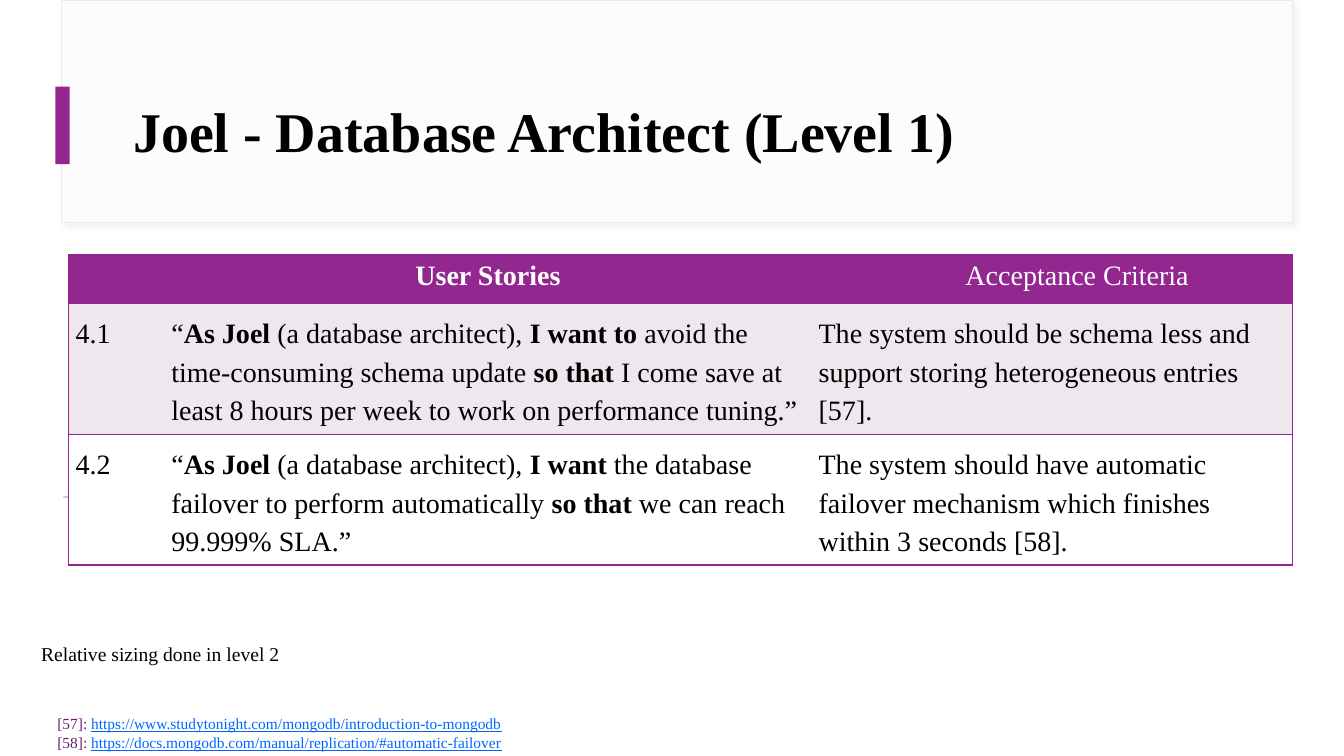
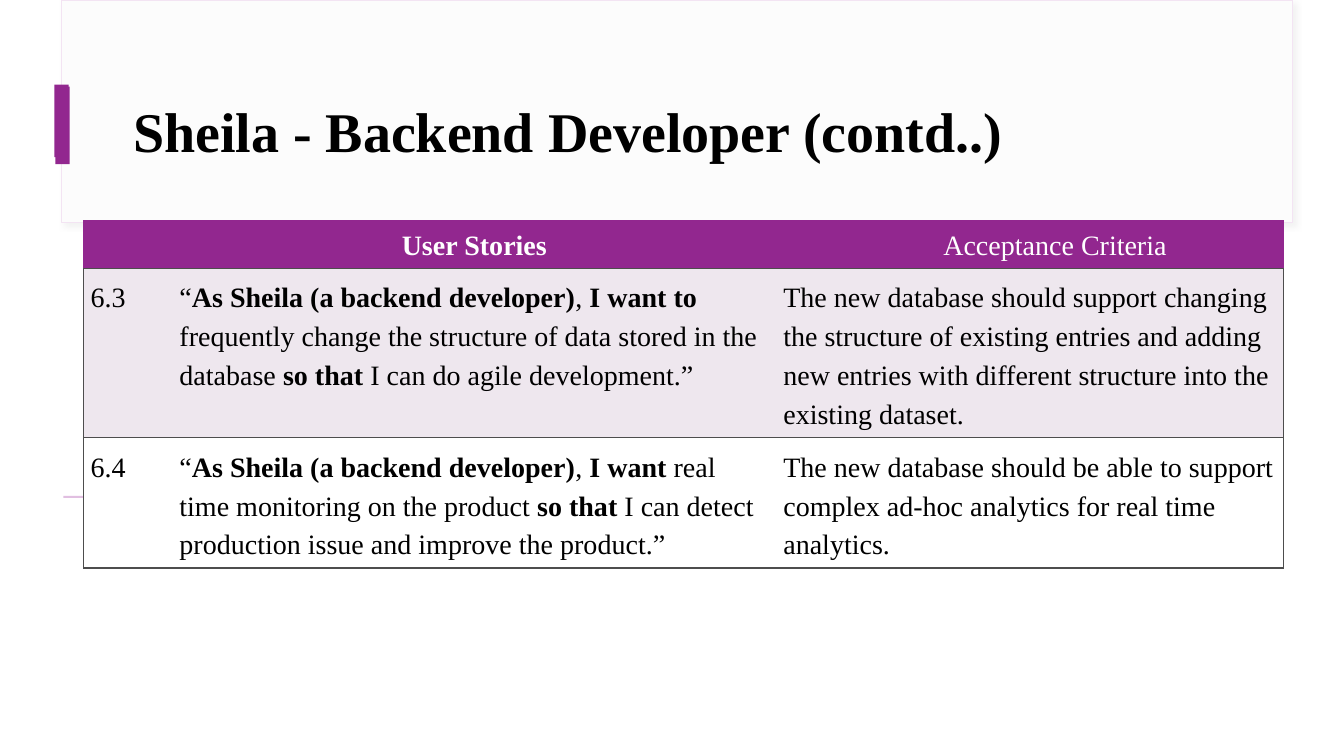
from lxml import etree
from pptx import Presentation
from pptx.dml.color import RGBColor
from pptx.enum.shapes import MSO_SHAPE as Shape
from pptx.enum.text import MSO_ANCHOR as Anchor, MSO_AUTO_SIZE as AutoSize, PP_ALIGN as Align
from pptx.oxml import parse_xml
from pptx.oxml.ns import nsdecls, qn
from pptx.util import Pt

PX = 9144  # 100 px to the inch
FONT = "Times New Roman"
NO_GRID = "{2D5ABB26-0587-4C30-8999-92F81FD0307C}"
COLORS = {
    "purple": "92278F", "pale": "EEE7EE", "white": "FFFFFF", "black": "000000",
    "band": "FCFCFC", "band_edge": "F3E4F3", "rule": "E1BFE1", "dark": "4D4D4D",
    "shadow": "D8D8D8", "cite": "6D1D6B", "link": "0066FF",
}

# In a story, every second piece is bold.
SLIDES = [
    {
        "title": "Joel - Database Architect (Level 1)",
        "accents": [(55, 86, 14, 77)],
        "at": (68, 253), "cols": [95, 642, 477], "rows": [48, 130, 129],
        "border": "purple", "header_spacing": 1.0,
        "stories": [
            ("4.1",
             ["“", "As Joel ", "(a database architect), ", "I want to",
              " avoid the time-consuming schema update ", "so that",
              " I come save at least 8 hours per week to work on performance tuning.”"],
             "The system should be schema less and support storing heterogeneous entries [57]."),
            ("4.2",
             ["“", "As Joel ", "(a database architect), ", "I want",
              " the database failover to perform automatically ", "so that",
              " we can reach 99.999% SLA.”"],
             "The system should have automatic failover mechanism which finishes within 3 seconds [58]."),
        ],
        "note": "Relative sizing done in level 2",
        "sources": [
            ("[57]: ", "https://www.studytonight.com/mongodb/introduction-to-mongodb"),
            ("[58]: ", "https://docs.mongodb.com/manual/replication/#automatic-failover"),
        ],
    },
    {
        "title": "Sheila - Backend Developer (contd..)",
        "accents": [(55, 86, 14, 77), (54, 84, 14, 72)],
        "at": (83, 219), "cols": [88, 599, 503], "rows": [47, 168, 129],
        "border": "dark", "header_spacing": 1.15,
        "stories": [
            ("6.3",
             ["“", "As Sheila (a backend developer)", ", ", "I want to",
              " frequently change the structure of data stored in the database ",
              "so that ", "I can do agile development.”"],
             "The new database should support changing the structure of existing entries "
             "and adding new entries with different structure into the existing dataset."),
            ("6.4",
             ["“", "As Sheila (a backend developer)", ", ", "I want",
              " real time monitoring on the product ", "so that ",
              "I can detect production issue and improve the product.”"],
             "The new database should be able to support complex ad-hoc analytics "
             "for real time analytics."),
        ],
        "note": None,
        "sources": [],
    },
]


def add_run(paragraph, text, size, color="black", bold=False, underline=False):
    run = paragraph.add_run()
    run.text = text
    font = run.font
    font.name, font.size, font.bold, font.underline = FONT, Pt(size), bold, underline
    font.color.rgb = RGBColor.from_string(COLORS[color])


def add_block(slide, box, fill):
    """Add a plain filled rectangle without line or shadow."""
    block = slide.shapes.add_shape(Shape.RECTANGLE, *(n * PX for n in box))
    block.shadow.inherit = False
    block.fill.solid()
    block.fill.fore_color.rgb = RGBColor.from_string(COLORS[fill])
    block.line.fill.background()
    return block


prs = Presentation()
prs.slide_width, prs.slide_height = 1333 * PX, 750 * PX

for content in SLIDES:
    slide = prs.slides.add_slide(prs.slide_layouts[5])

    # Title band, accent bars and rule
    band = add_block(slide, (61, 0, 1221, 221), "band")
    band.line.color.rgb = RGBColor.from_string(COLORS["band_edge"])
    band.line.width = Pt(0.75)
    effects = band._element.spPr.find(qn("a:effectLst"))
    effects.append(parse_xml(
        f'<a:outerShdw {nsdecls("a")} blurRad="50800" dist="38100" dir="2700000" algn="tl" '
        f'rotWithShape="0"><a:srgbClr val="{COLORS["shadow"]}"><a:alpha val="29000"/>'
        '</a:srgbClr></a:outerShdw>'))
    for accent in content["accents"]:
        add_block(slide, accent, "purple")
    add_block(slide, (63, 492, 1207, 2), "rule")

    # Title, brought in front of its band
    title = slide.shapes.title
    title.left, title.top, title.width, title.height = (n * PX for n in (122, 60, 1112, 129))
    slide.shapes._spTree.append(title._element)
    title.text_frame.auto_size = AutoSize.NONE
    title.text_frame.vertical_anchor = Anchor.MIDDLE
    heading = title.text_frame.paragraphs[0]
    heading.alignment, heading.line_spacing, heading.space_after = Align.LEFT, 1.15, Pt(16)
    add_run(heading, content["title"], 40, bold=True)

    # User story table
    left, top = content["at"]
    cols, rows = content["cols"], content["rows"]
    table = slide.shapes.add_table(len(rows), len(cols), left * PX, top * PX,
                                   sum(cols) * PX, sum(rows) * PX).table
    table.first_row = table.horz_banding = False
    table._tbl.tblPr.find(qn("a:tableStyleId")).text = NO_GRID
    for column, width in zip(table.columns, cols):
        column.width = width * PX
    for row, height in zip(table.rows, rows):
        row.height = height * PX

    stories = [("", ["", "User Stories"], "Acceptance Criteria")] + content["stories"]
    for r, (number, story, criteria) in enumerate(stories):
        is_header = r == 0
        for c, pieces in enumerate(([number], story, [criteria])):
            cell = table.cell(r, c)
            edges = ["lnT", "lnB"]
            if c == 0:
                edges.insert(0, "lnL")
            elif c == len(cols) - 1:
                edges.insert(0, "lnR")
            border = COLORS["purple" if is_header else content["border"]]
            for edge in edges:
                line = etree.SubElement(cell._tc.get_or_add_tcPr(), qn(f"a:{edge}"), w="12700")
                solid = etree.SubElement(line, qn("a:solidFill"))
                etree.SubElement(solid, qn("a:srgbClr"), val=border)
            cell.fill.solid()
            cell.fill.fore_color.rgb = RGBColor.from_string(
                COLORS[("purple", "pale", "white")[r]])

            cell.margin_left = cell.margin_right = (10 if is_header else 7) * PX
            cell.margin_top = cell.margin_bottom = (5 if is_header else 7) * PX
            paragraph = cell.text_frame.paragraphs[0]
            paragraph.line_spacing = content["header_spacing"] if is_header else 1.25
            if is_header:
                paragraph.alignment = Align.CENTER
                if c == 2:
                    paragraph._p.get_or_add_pPr().set("marL", str(50 * PX))
            for i, piece in enumerate(pieces):
                if piece:
                    add_run(paragraph, piece, 20, "white" if is_header else "black",
                            bold=i % 2 == 1)

    # Sizing note and sources
    if content["note"]:
        note = slide.shapes.add_textbox(31 * PX, 627 * PX, 328 * PX, 44 * PX).text_frame
        note.word_wrap = True
        note.margin_top = note.margin_bottom = 10 * PX
        add_run(note.paragraphs[0], content["note"], 14)
    if content["sources"]:
        sources = slide.shapes.add_textbox(47 * PX, 704 * PX, 675 * PX, 46 * PX).text_frame
        sources.word_wrap = True
        for i, (mark, address) in enumerate(content["sources"]):
            entry = sources.add_paragraph() if i else sources.paragraphs[0]
            add_run(entry, mark, 11, "cite")
            add_run(entry, address, 11, "link", underline=True)

prs.save("out.pptx")
